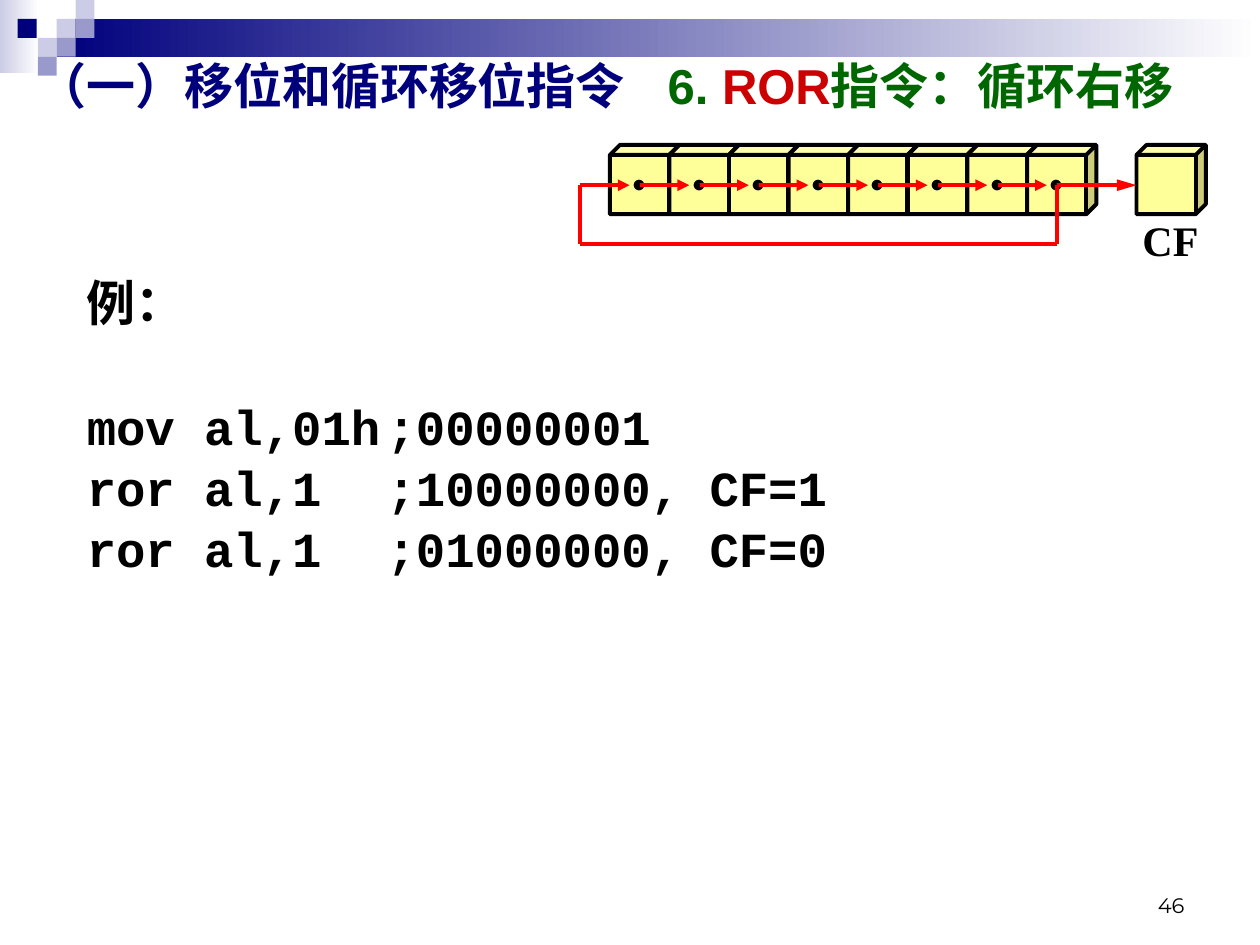
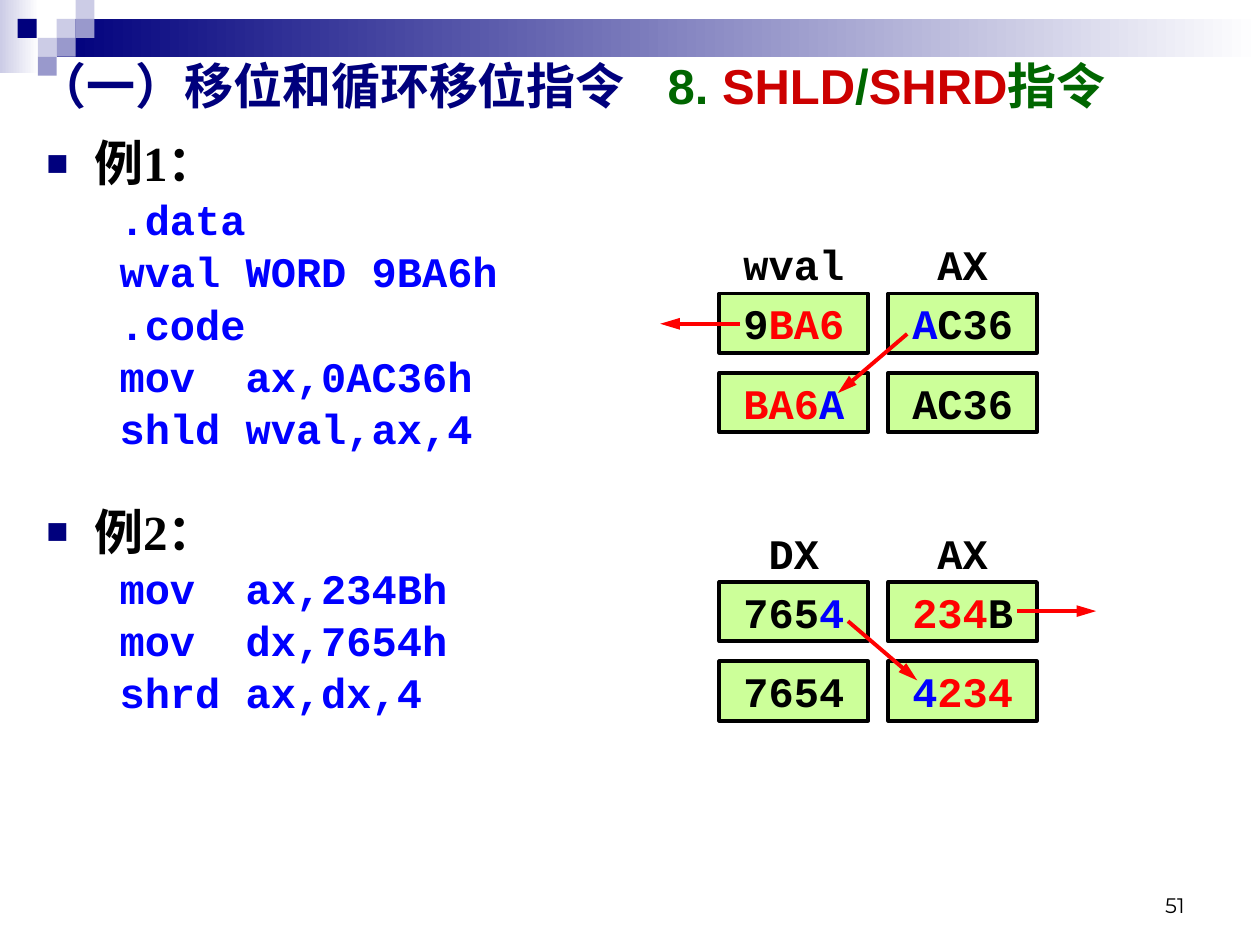
"""Build two slides on the rotate-right and double-precision shift instructions."""
from lxml import etree
from pptx import Presentation
from pptx.dml.color import RGBColor as RGB
from pptx.enum.shapes import MSO_CONNECTOR, MSO_SHAPE
from pptx.enum.text import MSO_ANCHOR as ANCHOR, PP_ALIGN as ALIGN
from pptx.oxml.ns import qn
from pptx.util import Inches, Pt

NAVY, LILAC, PALE = RGB(0, 0, 0x7D), RGB(0x99, 0x99, 0xCC), RGB(0xCC, 0xCC, 0xE6)
WHITE, BLACK = RGB(255, 255, 255), RGB(0, 0, 0)
GREEN, CRIMSON = RGB(0, 0x66, 0), RGB(0xCC, 0, 0)
RED, BLUE = RGB(255, 0, 0), RGB(0, 0, 255)
YELLOW, LIME = RGB(255, 255, 0x99), RGB(0xCC, 255, 0x99)
SANS, SERIF, MONO = "Arial", "Times New Roman", "Courier New"
CJK, NUMBER = "Noto Sans CJK SC", "Montserrat"

BANDS = [((0, 0, 0.31, 0.58), PALE), ((0.45, 0.15, 9.55, 0.3), NAVY)]
TILES = [(0.45, 0.15, PALE), (0.6, 0, PALE), (0.6, 0.15, LILAC), (0.3, 0.3, PALE),
         (0.14, 0.15, NAVY), (0.45, 0.3, LILAC), (0.3, 0.45, LILAC)]
TILE = 0.15
CHAPTER = "（一）移位和循环移位指令"

ROR_TITLE = [("6. ", GREEN), ("ROR", CRIMSON), ("指令：循环右移", GREEN)]
ROR_CODE = ["mov al,01h\t;00000001", "ror al,1\t\t;10000000, CF=1",
            "ror al,1\t\t;01000000, CF=0"]
BITS, BIT_LEFT, BIT_TOP, BIT_PITCH, CUBE = 8, 4.84, 1.15, 0.473, 0.55
CF_LEFT, WIRE_Y, RETURN_Y = 9.02, 1.47, 1.94

SHIFT_TITLE = [("8. ", GREEN), ("SHLD", CRIMSON), ("/", GREEN), ("SHRD", CRIMSON),
               ("指令", GREEN)]
EXAMPLES = [
    ("例1：", [".data", "wval WORD 9BA6h", ".code", "mov  ax,0AC36h", "shld wval,ax,4"]),
    ("例2：", ["mov  ax,234Bh", "mov  dx,7654h", "shrd ax,dx,4"]),
]
REGISTERS = [
    {"top": 2.33, "names": ["wval", "AX"],
     "before": [[("9", BLACK), ("BA6", RED)], [("A", BLUE), ("C36", BLACK)]],
     "after": [[("BA6", RED), ("A", BLUE)], [("AC36", BLACK)]],
     "arrows": [(5.87, 2.57, 5.24, 2.57), (7.2, 2.65, 6.65, 3.12)]},
    {"top": 4.62, "names": ["DX", "AX"],
     "before": [[("765", BLACK), ("4", BLUE)], [("234", RED), ("B", BLACK)]],
     "after": [[("7654", BLACK)], [("4", BLUE), ("234", RED)]],
     "arrows": [(6.73, 4.93, 7.28, 5.4), (8.07, 4.85, 8.7, 4.85)]},
]
REG_LEFT, REG_PITCH, REG_W, REG_H, RESULT_DROP = 5.71, 1.34, 1.18, 0.47, 0.63


def add_sub(parent, tag, **attrs):
    return etree.SubElement(parent, qn(tag), {k: str(v) for k, v in attrs.items()})


def add_text(sp, text, size=24, font=MONO, color=BLACK, bold=True, align=None,
             before=0, spacing=None, margin=0, indent=0, bullet=False, tabs=()):
    """Append a paragraph; text is a string or a list of (string, colour)."""
    tf = sp.text_frame
    p = tf.paragraphs[0] if not tf.paragraphs[0].runs else tf.add_paragraph()
    pPr = p._p.get_or_add_pPr()
    pPr.set("marL", str(Inches(margin)))
    pPr.set("indent", str(Inches(indent)))
    if bullet:
        add_sub(add_sub(pPr, "a:buClr"), "a:srgbClr", val=NAVY)
        add_sub(pPr, "a:buSzPct", val=75000)
        add_sub(pPr, "a:buFont", typeface=SANS)
        add_sub(pPr, "a:buChar", char="■")
    if tabs:
        tab_list = add_sub(pPr, "a:tabLst")
        for pos in tabs:
            add_sub(tab_list, "a:tab", pos=Inches(pos), algn="l")
    p.alignment = align
    if before:
        p.space_before = Pt(before)
    if spacing:
        p.line_spacing = spacing
    for part, part_color in [(text, color)] if isinstance(text, str) else text:
        r = p.add_run()
        r.text = part
        r.font.size, r.font.bold, r.font.name = Pt(size), bold, font
        r.font.color.rgb = part_color
        add_sub(r._r.get_or_add_rPr(), "a:ea", typeface=CJK)


def add_box(s, x, y, w, h, anchor=ANCHOR.TOP, wrap=True):
    sp = s.shapes.add_textbox(Inches(x), Inches(y), Inches(w), Inches(h))
    sp.text_frame.word_wrap = wrap
    sp.text_frame.vertical_anchor = anchor
    return sp


def add_shape(s, x, y, w, h, fill, kind=MSO_SHAPE.RECTANGLE, outlined=False):
    sp = s.shapes.add_shape(kind, Inches(x), Inches(y), Inches(w), Inches(h))
    sp.shadow.inherit = False
    sp.fill.solid()
    sp.fill.fore_color.rgb = fill
    if outlined:
        sp.line.color.rgb, sp.line.width = BLACK, Pt(2.25)
    else:
        sp.line.fill.background()
    sp.text_frame.word_wrap = False
    sp.text_frame.vertical_anchor = ANCHOR.MIDDLE
    return sp


def add_line(s, x1, y1, x2, y2, head=None):
    """Draw a red line; head is the arrowhead length, or None for no head."""
    line = s.shapes.add_connector(MSO_CONNECTOR.STRAIGHT, Inches(x1), Inches(y1),
                                  Inches(x2), Inches(y2))
    line.line.color.rgb, line.line.width = RED, Pt(2.25)
    if head:
        add_sub(line.line._get_or_add_ln(), "a:tailEnd", type="triangle", w="med", len=head)
    add_sub(line._element.spPr, "a:effectLst")


def add_slide(prs, title, number):
    s = prs.slides.add_slide(prs.slide_layouts[6])
    for box, color in BANDS:
        fill = add_shape(s, *box, color).fill
        fill.gradient()
        fill.gradient_angle = 0
        for stop, stop_color in zip(fill.gradient_stops, (color, WHITE)):
            stop.color.rgb = stop_color
    for x, y, color in TILES:
        add_shape(s, x, y, TILE, TILE, color)
    add_text(add_box(s, 7.17, 6.83, 2.33, 0.5, ANCHOR.BOTTOM), str(number),
             size=12, font=NUMBER, bold=False, align=ALIGN.RIGHT)
    add_text(add_box(s, 0.2, 0.36, 9.61, 0.63, ANCHOR.MIDDLE),
             [(CHAPTER + "\t", NAVY)] + title, size=28, font=SANS, tabs=[5.28])
    return s


def add_cube(s, x):
    cube = add_shape(s, x, BIT_TOP, CUBE, CUBE, YELLOW, MSO_SHAPE.CUBE, outlined=True)
    cube.adjustments[0] = 0.145
    return cube


def build_ror(prs):
    s = add_slide(prs, ROR_TITLE, 46)
    body = add_box(s, 0.59, 2.18, 9.21, 5.12)
    style = dict(size=28, spacing=0.87, margin=0.38, indent=-0.38, tabs=range(8))
    add_text(body, "例：", **style)
    for i, code in enumerate(ROR_CODE):
        add_text(body, code, before=5.6 if i else 41.3, **style)

    for i in range(BITS):
        add_text(add_cube(s, BIT_LEFT + i * BIT_PITCH), "·", font=CJK, align=ALIGN.CENTER)
    add_cube(s, CF_LEFT)
    add_text(add_box(s, 8.86, 1.65, 0.86, 0.5), "CF", font=SERIF, align=ALIGN.CENTER)

    dots = [BIT_LEFT + 0.24 + i * BIT_PITCH for i in range(-1, BITS)]
    for x in dots[:-1]:
        add_line(s, x, WIRE_Y, x + 0.39, WIRE_Y, "med")
    first, last = dots[0], dots[-1]
    add_line(s, last, WIRE_Y, CF_LEFT, WIRE_Y, "lg")
    add_line(s, last, WIRE_Y, last, RETURN_Y)
    add_line(s, last, RETURN_Y, first, RETURN_Y)
    add_line(s, first, RETURN_Y, first, WIRE_Y)


def build_shift(prs):
    s = add_slide(prs, SHIFT_TITLE, 51)
    body = add_box(s, 0.27, 1.07, 4.02, 6.27)
    for i, (heading, lines) in enumerate(EXAMPLES):
        add_text(body, heading, size=28, font=SERIF, before=32 * i, spacing=0.87,
                 margin=0.38, indent=-0.38, bullet=True)
        for code in lines:
            add_text(body, code, color=BLUE, before=4.8, spacing=0.87,
                     margin=0.99, indent=-0.41)

    for group in REGISTERS:
        top = group["top"]
        for col, name in enumerate(group["names"]):
            x = REG_LEFT + col * REG_PITCH
            label = add_box(s, x, top - REG_H, REG_W, REG_H, ANCHOR.MIDDLE, wrap=False)
            add_text(label, name, align=ALIGN.CENTER)
            for y, state in ((top, "before"), (top + RESULT_DROP, "after")):
                cell = add_shape(s, x, y, REG_W, REG_H, LIME, outlined=True)
                add_text(cell, group[state][col], align=ALIGN.CENTER)
        for arrow in group["arrows"]:
            add_line(s, *arrow, "lg")


def main():
    prs = Presentation()
    prs.slide_width, prs.slide_height = Inches(10), Inches(7.5)
    build_ror(prs)
    build_shift(prs)
    prs.save("out.pptx")


if __name__ == "__main__":
    main()
